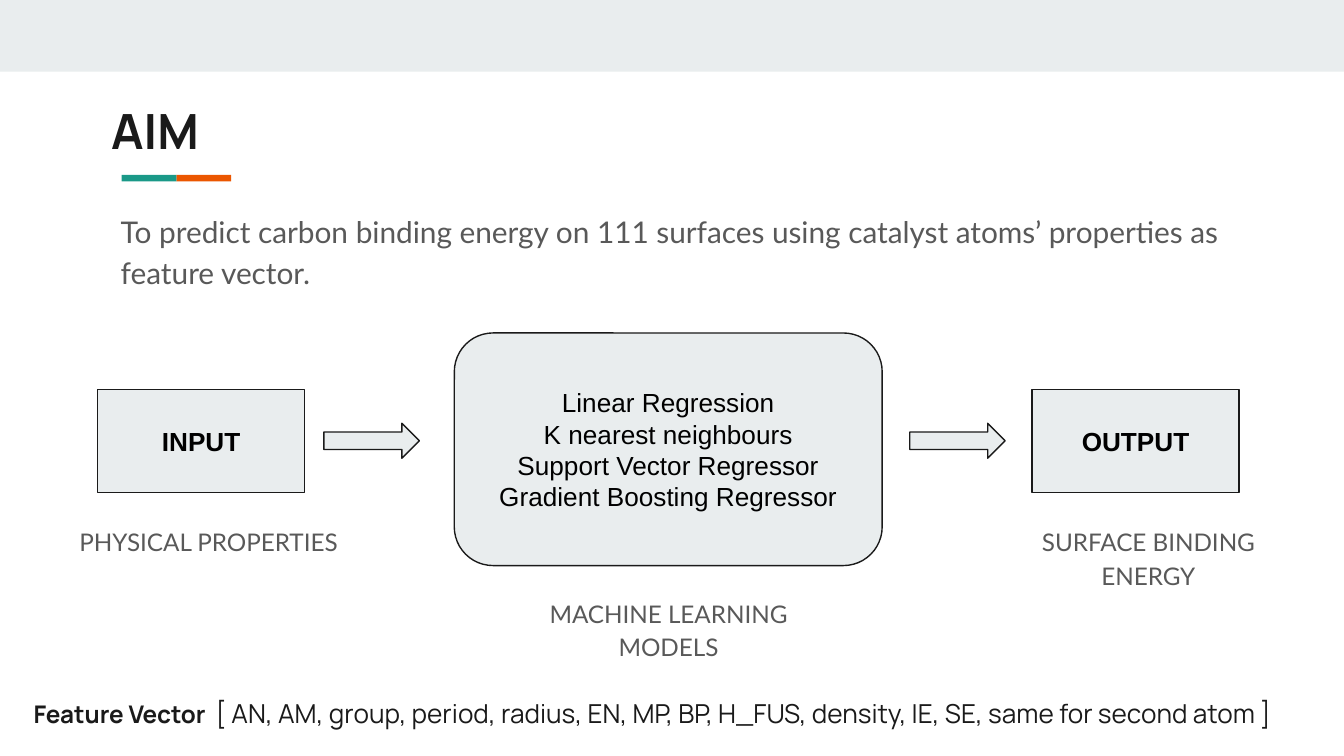
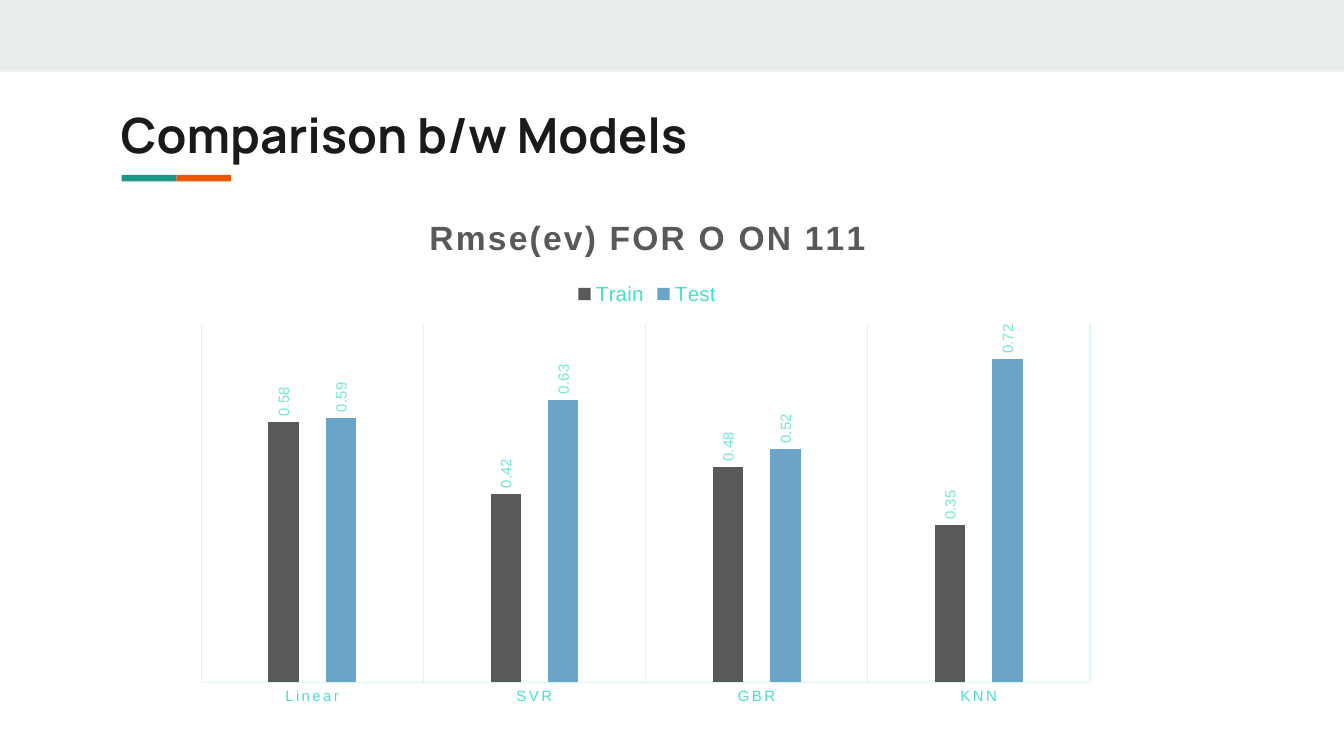
from lxml import etree
from pptx import Presentation
from pptx.chart.data import CategoryChartData
from pptx.dml.color import RGBColor
from pptx.enum.chart import XL_CHART_TYPE, XL_LABEL_POSITION, XL_LEGEND_POSITION, XL_TICK_MARK
from pptx.enum.shapes import MSO_SHAPE
from pptx.enum.text import MSO_ANCHOR, PP_ALIGN
from pptx.oxml.ns import qn
from pptx.util import Pt

RECTANGLE = MSO_SHAPE.RECTANGLE
ROUNDED = MSO_SHAPE.ROUNDED_RECTANGLE
ARROW = MSO_SHAPE.RIGHT_ARROW
LEFT, CENTER = PP_ALIGN.LEFT, PP_ALIGN.CENTER
TOP, MIDDLE = MSO_ANCHOR.TOP, MSO_ANCHOR.MIDDLE
COLUMNS = XL_CHART_TYPE.COLUMN_CLUSTERED
OUTSIDE_END = XL_LABEL_POSITION.OUTSIDE_END
LEGEND_TOP = XL_LEGEND_POSITION.TOP
NO_TICK = XL_TICK_MARK.NONE

PALE, INK, GREY, BLACK = "E9EDEE", "1A1A1A", "595959", "000000"
TEAL, ORANGE, BLUE = "1A9988", "EB5600", "6AA4C8"
AQUA, LIGHT_AQUA, PALE_AQUA = "47E0CB", "72E7D7", "D5F8F3"
HEADING_FONT, BODY_FONT, SHAPE_FONT = "Manrope", "Lato", "Arial"
INSET = Pt(7.2)


def color(value):
    return RGBColor.from_string(value)


def style_font(font, name, size, fill, bold=False):
    font.name, font.size, font.bold = name, Pt(size), bold
    font.color.rgb = color(fill)


def place_chart_part(parent, index, x, y, width=None, height=None, inner=False):
    """Give a chart part a fixed place, in fractions of the chart."""
    for old in parent.findall(qn("c:layout")):
        parent.remove(old)
    layout = etree.Element(qn("c:layout"))
    manual = etree.SubElement(layout, qn("c:manualLayout"))
    settings = [("layoutTarget", "inner")] if inner else []
    settings += [("xMode", "edge"), ("yMode", "edge"), ("x", x), ("y", y)]
    if width:
        settings += [("w", width), ("h", height)]
    for tag, value in settings:
        etree.SubElement(manual, qn(f"c:{tag}")).set("val", str(value))
    parent.insert(index, layout)


class Deck:
    def __init__(self):
        self.presentation = Presentation()
        self.presentation.slide_width = Pt(720)
        self.presentation.slide_height = Pt(405)
        self.slide = None

    def new_slide(self, title, left, top):
        self.slide = self.presentation.slides.add_slide(self.presentation.slide_layouts[6])
        self.shape(RECTANGLE, 0, 0, 720, 38.4, PALE)
        self.title_rule(94.5, 95.4)
        self.text(title, left, top, 605.5, 42.5, HEADING_FONT, 26, INK, bold=True)

    def title_rule(self, center_x, center_y):
        # Two upright bars turned flat, side by side, in a scaled group
        length, thickness = 41.9, 1.98
        group = self.slide.shapes.add_group_shape()
        for side, fill in ((1, ORANGE), (-1, TEAL)):
            bar = self.shape(RECTANGLE, center_x + side * length / 2 - thickness / 2,
                             center_y - length / 2, thickness, length, fill, parent=group)
            bar.rotation = 270
        width, height = 0.7 * (length + thickness), 1.82 * length
        group.left, group.top = Pt(center_x - width / 2), Pt(center_y - height / 2)
        group.width, group.height = Pt(width), Pt(height)

    def shape(self, kind, left, top, width, height, fill, line=None, parent=None):
        shape = (parent or self.slide).shapes.add_shape(
            kind, Pt(left), Pt(top), Pt(width), Pt(height))
        shape.shadow.inherit = False
        shape.fill.solid()
        shape.fill.fore_color.rgb = color(fill)
        if line:
            shape.line.color.rgb = color(line)
            shape.line.width = Pt(0.75)
        else:
            shape.line.fill.background()
        return shape

    def block(self, kind, left, top, width, height, text="", bold=False):
        shape = self.shape(kind, left, top, width, height, PALE, INK)
        if text:
            self.fill_text(shape.text_frame, text, MIDDLE)
            for paragraph in shape.text_frame.paragraphs:
                paragraph.alignment = CENTER
                style_font(paragraph.runs[0].font, SHAPE_FONT, 14, BLACK, bold)

    def fill_text(self, frame, text, anchor):
        frame.word_wrap = True
        frame.vertical_anchor = anchor
        frame.margin_left = frame.margin_right = INSET
        frame.margin_top = frame.margin_bottom = INSET
        frame.text = text

    def text(self, text, left, top, width, height, font, size, fill,
             bold=False, align=LEFT, spacing=None):
        box = self.slide.shapes.add_textbox(Pt(left), Pt(top), Pt(width), Pt(height))
        self.fill_text(box.text_frame, text, TOP)
        paragraph = box.text_frame.paragraphs[0]
        paragraph.alignment = align
        if spacing:
            paragraph.line_spacing = spacing
        style_font(paragraph.runs[0].font, font, size, fill, bold)
        return paragraph

    def caption(self, text, left, top):
        self.text(text, left, top, 153.4, 42.5, BODY_FONT, 13, GREY, align=CENTER, spacing=1.15)

    def column_chart(self, title, categories, series_values, left, top, width, height):
        data = CategoryChartData()
        data.categories = categories
        for name, (values, _) in series_values.items():
            data.add_series(name, values)
        chart = self.slide.shapes.add_chart(
            COLUMNS, Pt(left), Pt(top), Pt(width), Pt(height), data).chart
        style_font(chart.font, SHAPE_FONT, 10, TEAL)

        # Title and legend
        chart.has_title = True
        chart.chart_title.text_frame.text = title
        title_run = chart.chart_title.text_frame.paragraphs[0].runs[0]
        style_font(title_run.font, SHAPE_FONT, 18, GREY, bold=True)
        chart.has_legend = True
        chart.legend.position = LEGEND_TOP
        chart.legend.include_in_layout = False
        style_font(chart.legend.font, SHAPE_FONT, 11, AQUA)

        # Axes
        chart.value_axis.visible = False
        chart.value_axis.has_major_gridlines = False
        chart.value_axis.minimum_scale, chart.value_axis.maximum_scale = 0, 0.8
        axis = chart.category_axis
        axis.major_tick_mark = axis.minor_tick_mark = NO_TICK
        axis.has_major_gridlines = True
        for line in (axis.format.line, axis.major_gridlines.format.line):
            line.color.rgb = color(PALE_AQUA)
            line.width = Pt(0.75)
        style_font(axis.tick_labels.font, SHAPE_FONT, 8, AQUA)

        # Columns and value labels
        plot = chart.plots[0]
        plot.vary_by_categories = False
        plot.gap_width, plot.overlap = 444, -90
        for series in plot.series:
            series.format.fill.solid()
            series.format.fill.fore_color.rgb = color(series_values[series.name][1])
            labels = series.data_labels
            labels.show_value = True
            labels.position = OUTSIDE_END
            style_font(labels.font, SHAPE_FONT, 8, LIGHT_AQUA)

        # Upright labels, letter spacing and fixed places
        root = chart._chartSpace
        for body in root.xpath(".//c:dLbls//a:bodyPr"):
            body.set("rot", "-5400000")
            body.set("vert", "horz")
        for properties in root.xpath(".//c:title//a:rPr | .//c:catAx//a:defRPr"):
            properties.set("spc", "120")
        place_chart_part(root.xpath(".//c:chart/c:title")[0], 1, 0.26, 0.03)
        place_chart_part(root.xpath(".//c:legend")[0], 1, 0.42, 0.16)
        place_chart_part(root.xpath(".//c:plotArea")[0], 0, 0.02, 0.25, 0.96, 0.69, inner=True)


def build_aim(deck):
    deck.new_slide("AIM", 52.5, 46.8)
    deck.text("To predict carbon binding energy on 111 surfaces using catalyst atoms’ "
              "properties as feature vector.",
              57.6, 104.4, 654.5, 39, BODY_FONT, 16, GREY, spacing=1.15)

    # Flow from input through the models to output
    models = ["Linear Regression", "K nearest neighbours",
              "Support Vector Regressor", "Gradient Boosting Regressor"]
    for text, left in (("INPUT", 52.3), ("OUTPUT", 552.9)):
        deck.block(RECTANGLE, left, 208.8, 111, 55.2, text, bold=True)
    deck.block(ROUNDED, 243.4, 178.4, 229.2, 124.6, "\n".join(models))
    for left in (173.5, 487.4):
        deck.block(ARROW, left, 226.8, 51.1, 18.7)

    # Captions under the flow
    deck.caption("PHYSICAL PROPERTIES", 35, 273.1)
    deck.caption("SURFACE BINDING ENERGY", 538.5, 273.1)
    deck.caption("MACHINE LEARNING MODELS", 281.4, 311.3)

    # Feature list
    paragraph = deck.text("Feature Vector", 10.9, 353.5, 701.3, 55.4,
                          HEADING_FONT, 13, INK, bold=True)
    features = "[ AN, AM, group, period, radius, EN, MP, BP, H_FUS, density, IE, SE, same for second atom ]"
    for text, size, bold in ((" ", 27, True), (features, 14, False)):
        run = paragraph.add_run()
        run.text = text
        style_font(run.font, HEADING_FONT, size, INK, bold)


def build_comparison(deck):
    deck.new_slide("Comparison b/w Models", 57.6, 49)
    errors = {"Train": ((0.58, 0.42, 0.48, 0.35), GREY),
              "Test": ((0.59, 0.63, 0.52, 0.72), BLUE)}
    deck.column_chart("Rmse(ev) FOR O ON 111", ["Linear", "SVR", "GBR", "KNN"], errors,
                      97.9, 103.7, 496, 278.6)


def main():
    deck = Deck()
    build_aim(deck)
    build_comparison(deck)
    deck.presentation.save("out.pptx")


if __name__ == "__main__":
    main()
